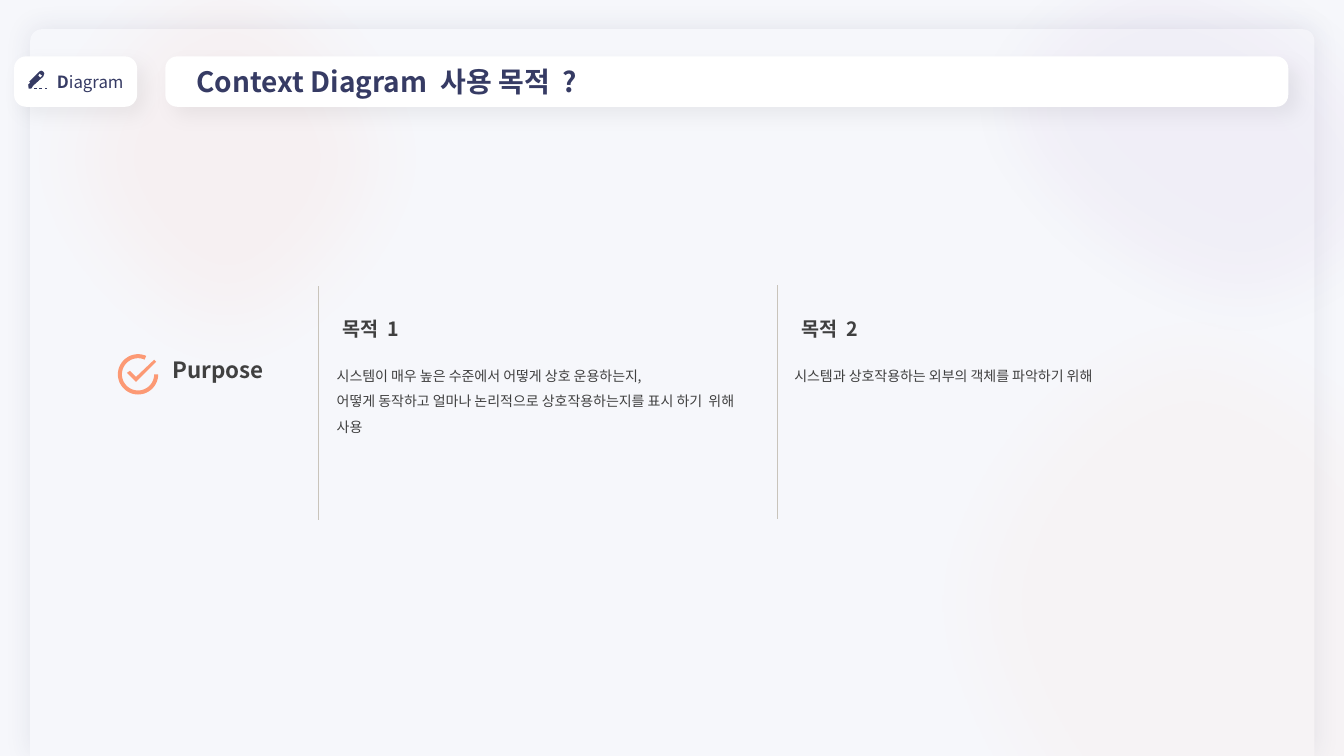
from dataclasses import dataclass
from math import cos, radians, sin

from lxml.etree import SubElement
from pptx import Presentation
from pptx.dml.color import RGBColor
from pptx.enum.shapes import MSO_CONNECTOR as Connector, MSO_SHAPE as Preset
from pptx.enum.text import MSO_ANCHOR as Anchor, MSO_AUTO_SIZE as AutoSize, PP_ALIGN as Align
from pptx.oxml.ns import qn
from pptx.util import Inches, Pt


@dataclass(frozen=True)
class TextStyle:
    size: float
    color: str
    bold: bool = False
    spacing: float = 1.0


class Theme:
    font = "Noto Sans CJK KR"
    paper = "F6F7FB"
    white = "FFFFFF"
    navy = "363B64"
    black = "000000"
    orange = "FC9974"
    coral = "FD9374"
    purple = "7030A0"
    rule = "C9C4BB"
    title = TextStyle(20, navy, True)
    tag = TextStyle(12, navy)
    tag_initial = TextStyle(12, navy, True)
    label = TextStyle(16, "404040", True)
    heading = TextStyle(14, "404040", True, 1.5)
    body = TextStyle(10, "404040", False, 1.5)


class SlideBuilder:
    """Draws styled elements on a slide laid out as 160 columns by 90 rows."""

    def __init__(self, presentation, layout_index, theme):
        self.theme = theme
        self.cell = presentation.slide_width / 160
        self.slide = presentation.slides.add_slide(presentation.slide_layouts[layout_index])
        self.shapes = self.slide.shapes
        self.paint(self.slide.background.fill, theme.paper)

    def grid(self, *cells):
        return [round(value * self.cell) for value in cells]

    def paint(self, fill, color, opacity=None):
        fill.solid()
        fill.fore_color.rgb = RGBColor.from_string(color)
        if opacity:
            color_node = fill._xPr.find(".//" + qn("a:srgbClr"))
            SubElement(color_node, qn("a:alpha"), val=str(opacity * 1000))

    def finish(self, shape, color, opacity=None):
        shape.shadow.inherit = False
        shape.line.fill.background()
        self.paint(shape.fill, color, opacity)
        return shape

    def effects(self, shape):
        return shape._element.spPr.find(qn("a:effectLst"))

    def panel(self, preset, box, color, adjustments, shadow):
        shape = self.finish(self.shapes.add_shape(preset, *self.grid(*box)), color)
        for index, value in enumerate(adjustments):
            shape.adjustments[index] = value
        shadow_color, opacity, blur, distance, angle = shadow
        node = SubElement(self.effects(shape), qn("a:outerShdw"), blurRad=str(Pt(blur)),
                          dist=str(Pt(distance)), dir=str(angle * 60000),
                          algn="ctr", rotWithShape="0")
        color_node = SubElement(node, qn("a:srgbClr"), val=shadow_color)
        SubElement(color_node, qn("a:alpha"), val=str(opacity * 1000))
        return shape

    def glow(self, box, color, opacity, rotation):
        shape = self.shapes.add_shape(Preset.OVAL, *self.grid(*box))
        self.finish(shape, color, opacity).rotation = rotation
        SubElement(self.effects(shape), qn("a:softEdge"), rad=str(Pt(50)))

    def outline(self, contours, color):
        builder = None
        for contour in contours:
            start, *points = [self.grid(*point) for point in contour]
            if builder is None:
                builder = self.shapes.build_freeform(*start, scale=1.0)
            else:
                builder.move_to(*start)
            builder.add_line_segments(points, close=True)
        self.finish(builder.convert_to_shape(), color)

    def line(self, start, end, color, width):
        connector = self.shapes.add_connector(Connector.STRAIGHT, *self.grid(*start, *end))
        connector.line.color.rgb = RGBColor.from_string(color)
        connector.line.width = Pt(width)
        SubElement(connector._element.spPr, qn("a:effectLst"))

    def style_run(self, run, style):
        run.font.name = self.theme.font
        run.font.size = Pt(style.size)
        run.font.bold = style.bold
        run.font.color.rgb = RGBColor.from_string(style.color)
        SubElement(run._r.get_or_add_rPr(), qn("a:ea"), typeface=self.theme.font)

    def set_text(self, shape, text, style, align=Align.LEFT, anchor=Anchor.TOP):
        frame = shape.text_frame
        frame.text = text
        frame.word_wrap = True
        frame.auto_size = AutoSize.NONE
        frame.vertical_anchor = anchor
        for paragraph in frame.paragraphs:
            paragraph.alignment = align
            paragraph.line_spacing = style.spacing
            paragraph.space_before = Pt(0)
            for run in paragraph.runs:
                self.style_run(run, style)
        return frame

    def label(self, box, text, style):
        self.set_text(self.shapes.add_textbox(*self.grid(*box)), text, style)

    def placeholder(self, index, box, text, style, anchor=Anchor.TOP):
        shape = self.slide.placeholders[index]
        shape.left, shape.top, shape.width, shape.height = self.grid(*box)
        frame = self.set_text(shape, text, style, anchor=anchor)
        for paragraph in frame.paragraphs:
            properties = paragraph._p.get_or_add_pPr()
            properties.set("marL", "0")
            properties.set("indent", "0")
            SubElement(properties, qn("a:buNone"))
        shape._element.getparent().append(shape._element)
        return frame


def arc(center, radius, first, last):
    step = 6 if last > first else -6
    return [(center[0] + radius * cos(radians(angle)), center[1] + radius * sin(radians(angle)))
            for angle in range(first, last + step, step)]


def main():
    presentation = Presentation()
    presentation.slide_width, presentation.slide_height = Inches(13.33), Inches(7.5)
    theme = Theme()
    builder = SlideBuilder(presentation, 4, theme)

    builder.panel(Preset.ROUND_2_SAME_RECTANGLE, (3.6, 3.48, 152.88, 86.52), theme.paper,
                  (0.016, 0), (theme.navy, 10, 18, 0, 0))
    builder.glow((0, -10.8, 54, 58.92), theme.coral, 7, 0)
    builder.glow((116.4, -17.16, 54, 67.56), theme.purple, 4, 291.5)
    builder.glow((108.12, 32.28, 75.12, 87.24), theme.orange, 4, 339.8)

    title_box = (19.68, 6.72, 133.68, 6)
    tag, _ = [builder.panel(Preset.ROUNDED_RECTANGLE, box, theme.white, (0.237,),
                            (theme.black, 5, 15, 8, 45))
              for box in ((1.68, 6.72, 14.64, 6), title_box)]
    tag_frame = builder.set_text(tag, "D", theme.tag_initial, Align.RIGHT, Anchor.MIDDLE)
    tag_rest = tag_frame.paragraphs[0].add_run()
    tag_rest.text = "iagram"
    builder.style_run(tag_rest, theme.tag)
    title_frame = builder.placeholder(0, title_box, "Context Diagram  사용 목적  ?",
                                      theme.title, Anchor.MIDDLE)
    title_frame.margin_left = Inches(0.31)

    pencil = [(3.36, 10.08), (3.6, 9.84), (3.48, 9.72), (4.68, 8.52), (4.92, 8.4), (5.16, 8.52),
              (5.28, 8.76), (5.16, 9.12), (3.96, 10.2), (3.72, 10.56), (3.42, 10.56)]
    pencil_band = [(4.68, 8.76), (5.04, 9), (4.8, 9.24), (4.56, 9)]
    builder.outline([pencil, pencil_band], theme.navy)
    for left, right in ((4.08, 4.44), (4.68, 5.04), (5.4, 5.64)):
        builder.line((left, 10.56), (right, 10.56), theme.navy, 0.25)

    center = (16.44, 44.58)
    ring = arc(center, 2.4, 0, 294) + arc(center, 1.92, 294, 0)
    tick = [(18.36, 42.84), (18.6, 43.08), (16.2, 45.48), (15.12, 44.4), (15.48, 44.16),
            (16.2, 44.88)]
    builder.outline([ring, tick], theme.orange)
    builder.label((19.32, 41.88, 18, 4.44), "Purpose", theme.label)

    purposes = [
        (37.92, 34.08, 39.6, 38.88, "시스템이 매우 높은 수준에서 어떻게 상호 운용하는지,\n"
         "어떻게 동작하고 얼마나 논리적으로 상호작용하는지를 표시 하기  위해 사용"),
        (92.52, 33.96, 94.2, 93.36, "시스템과 상호작용하는 외부의 객체를 파악하기 위해"),
    ]
    for number, (rule, top, heading_left, body_left, text) in enumerate(purposes, 1):
        builder.line((rule, top), (rule, top + 27.84), theme.rule, 0.5)
        builder.placeholder(2 * number - 1, (heading_left, 35.76, 12, 4.92),
                            f"목적  {number}", theme.heading)
        builder.placeholder(2 * number, (body_left, 42.18, 51, 9.96), text, theme.body)

    presentation.save("out.pptx")


if __name__ == "__main__":
    main()
